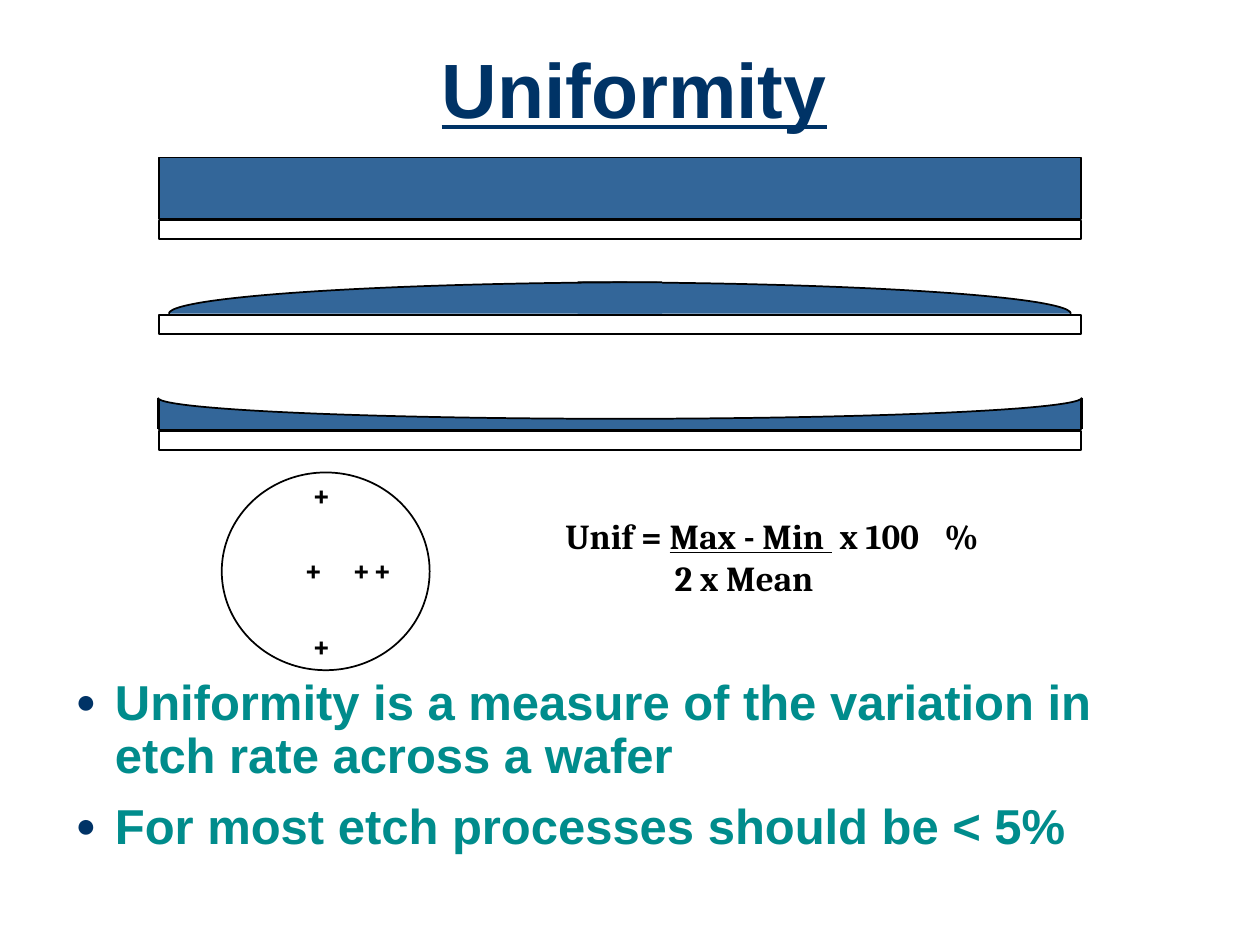
from pptx import Presentation
from pptx import util as u
from pptx.dml import color
from pptx.enum import shapes, text
from pptx.oxml import ns
from lxml import etree

COLORS = {"navy": "003366", "teal": "008C8C", "film": "336699",
          "black": "000000", "white": "FFFFFF"}
SUBSTRATE_HEIGHT = 10.8


def rgb(name):
    """Return the named colour."""
    return color.RGBColor.from_string(COLORS[name])


def add_element(parent, tag, **attributes):
    """Append a drawing element with the given attributes."""
    return etree.SubElement(parent, ns.qn(tag), attributes)


def add_text(para, words, size=18, font="Cambria", tint="black", underline=False):
    """Add a bold span to a paragraph."""
    span = para.add_run()
    span.text = words
    span.font.size = u.Pt(size)
    span.font.name = font
    span.font.bold = True
    span.font.underline = underline
    span.font.color.rgb = rgb(tint)


def set_tabs(para, stops):
    """Give a paragraph left tab stops, in points."""
    tab_list = add_element(para._p.get_or_add_pPr(), "a:tabLst")
    for stop in stops:
        add_element(tab_list, "a:tab", pos=str(int(u.Pt(stop))), algn="l")


def place(item, box):
    """Move an item to a box of left, top, width and height in points."""
    item.left, item.top, item.width, item.height = [u.Pt(value) for value in box]


def add_outline(page, kind, box, fill=None, angles=None):
    """Add a preset shape with a thin black line, and angles for an arc."""
    item = page.shapes.add_shape(kind, *[u.Pt(value) for value in box])
    item.shadow.inherit = False
    if fill:
        item.fill.solid()
        item.fill.fore_color.rgb = rgb(fill)
    else:
        item.fill.background()
    item.line.color.rgb = rgb("black")
    item.line.width = u.Pt(1)
    for index, angle in enumerate(angles or ()):
        item.adjustments[index] = angle * 0.6


def add_edge(page, x, top, bottom):
    """Add a vertical black line."""
    edge = page.shapes.add_connector(shapes.MSO_CONNECTOR.STRAIGHT,
                                     u.Pt(x), u.Pt(top), u.Pt(x), u.Pt(bottom))
    edge.line.color.rgb = rgb("black")
    edge.line.width = u.Pt(1)
    add_element(edge._element.spPr, "a:effectLst")


def add_text_box(page, box):
    """Add an unwrapped text box and return its frame."""
    frame = page.shapes.add_textbox(*[u.Pt(value) for value in box]).text_frame
    frame.word_wrap = False
    return frame


def add_substrate(page, box):
    """Add the bare wafer along the bottom of a box."""
    left, top, width, height = box
    add_outline(page, shapes.MSO_SHAPE.RECTANGLE,
                (left, top + height - SUBSTRATE_HEIGHT, width, SUBSTRATE_HEIGHT))


def add_flat_wafer(page, box):
    """Draw a wafer under a film of even thickness."""
    left, top, width, height = box
    add_outline(page, shapes.MSO_SHAPE.RECTANGLE,
                (left, top, width, height - SUBSTRATE_HEIGHT - 0.9), "film")
    add_substrate(page, box)


def add_domed_wafer(page, box):
    """Draw a wafer under a film that is thick in the middle."""
    left, top, width, height = box
    add_substrate(page, box)
    for offset, angles in ((-42.5, (270, 0)), (5.8, (180, 270))):
        add_outline(page, shapes.MSO_SHAPE.ARC,
                    (left + offset, top, 563.8, 36), "film", angles)


def add_dished_wafer(page, box):
    """Draw a wafer under a film that is thin in the middle."""
    left, top, width, height = box
    add_outline(page, shapes.MSO_SHAPE.RECTANGLE,
                (left, top + 12.9, width, 17.3), "film")
    for angles in ((0, 90), (90, 180)):
        add_outline(page, shapes.MSO_SHAPE.ARC,
                    (left - 0.5, top, width + 1, 24), "white", angles)
    add_substrate(page, box)
    for x in (left - 0.5, left + width + 0.5):
        add_edge(page, x, top + 12, top + 30)


def add_test_points(page, box):
    """Draw the round wafer with its five measuring points."""
    left, top, width, height = box
    add_outline(page, shapes.MSO_SHAPE.OVAL, box, "white")
    frame = add_text_box(page, (left + 5, top - 2.2, 105.8, 115.2))
    rows = (("\t+", (39.6,)), ("\t+\t+\t+", (35, 62.5, 74.5)), ("\t+", (39.6,)))
    for index, (words, stops) in enumerate(rows):
        para = frame.add_paragraph() if index else frame.paragraphs[0]
        para.space_before = u.Pt(21.6 if index else 0)
        set_tabs(para, stops)
        add_text(para, words)


def add_formula(page, box):
    """Write the uniformity formula as a fraction on two lines."""
    frame = add_text_box(page, box)
    para = frame.paragraphs[0]
    set_tabs(para, (216.5,))
    add_text(para, "Unif = ", size=20)
    add_text(para, "Max - Min ", size=20, underline=True)
    add_text(para, " x 100\t%", size=20)
    para = frame.add_paragraph()
    set_tabs(para, (62.4,))
    add_text(para, "\t2 x Mean", size=20)


def add_title(page, box, words):
    """Fill the title placeholder."""
    title = page.shapes.title
    place(title, box)
    frame = title.text_frame
    frame.auto_size = text.MSO_AUTO_SIZE.NONE
    frame.vertical_anchor = text.MSO_ANCHOR.MIDDLE
    para = frame.paragraphs[0]
    para.alignment = text.PP_ALIGN.CENTER
    para.line_spacing = 0.9
    add_text(para, words, size=44, font="Arial", tint="navy", underline=True)


def add_bullets(page, box, lines):
    """Fill the body placeholder with a bulleted list."""
    body = page.placeholders[1]
    place(body, box)
    frame = body.text_frame
    frame.auto_size = text.MSO_AUTO_SIZE.NONE
    for index, words in enumerate(lines):
        para = frame.add_paragraph() if index else frame.paragraphs[0]
        para.line_spacing = 0.9
        para.space_before = u.Pt(10.5)
        layout = para._p.get_or_add_pPr()
        layout.set("marL", str(int(u.Pt(22.5))))
        layout.set("indent", str(int(u.Pt(-22.5))))
        add_element(add_element(layout, "a:buClr"), "a:srgbClr", val=COLORS["navy"])
        add_element(layout, "a:buSzPct", val="70000")
        add_element(layout, "a:buFont", typeface="Arial")
        add_element(layout, "a:buChar", char="●")
        add_text(para, words, size=28, font="Arial", tint="teal")


def main():
    """Build and save the deck."""
    deck = Presentation()
    deck.slide_width, deck.slide_height = u.Pt(720), u.Pt(540)
    page = deck.slides.add_slide(deck.slide_layouts[1])
    add_title(page, (102.2, 23.8, 520.6, 59.8), "Uniformity")
    add_bullets(page, (36, 383.8, 648, 126), (
        "Uniformity is a measure of the variation in etch rate across a wafer",
        "For most etch processes should be < 5%"))
    add_flat_wafer(page, (90.7, 90, 527, 46.8))
    add_domed_wafer(page, (90.7, 161.3, 527, 29.5))
    add_dished_wafer(page, (90.7, 215.3, 527, 41.7))
    add_test_points(page, (126.7, 270, 118.8, 113))
    add_formula(page, (316, 290.2, 275.8, 55.4))
    deck.save("out.pptx")


if __name__ == "__main__":
    main()
